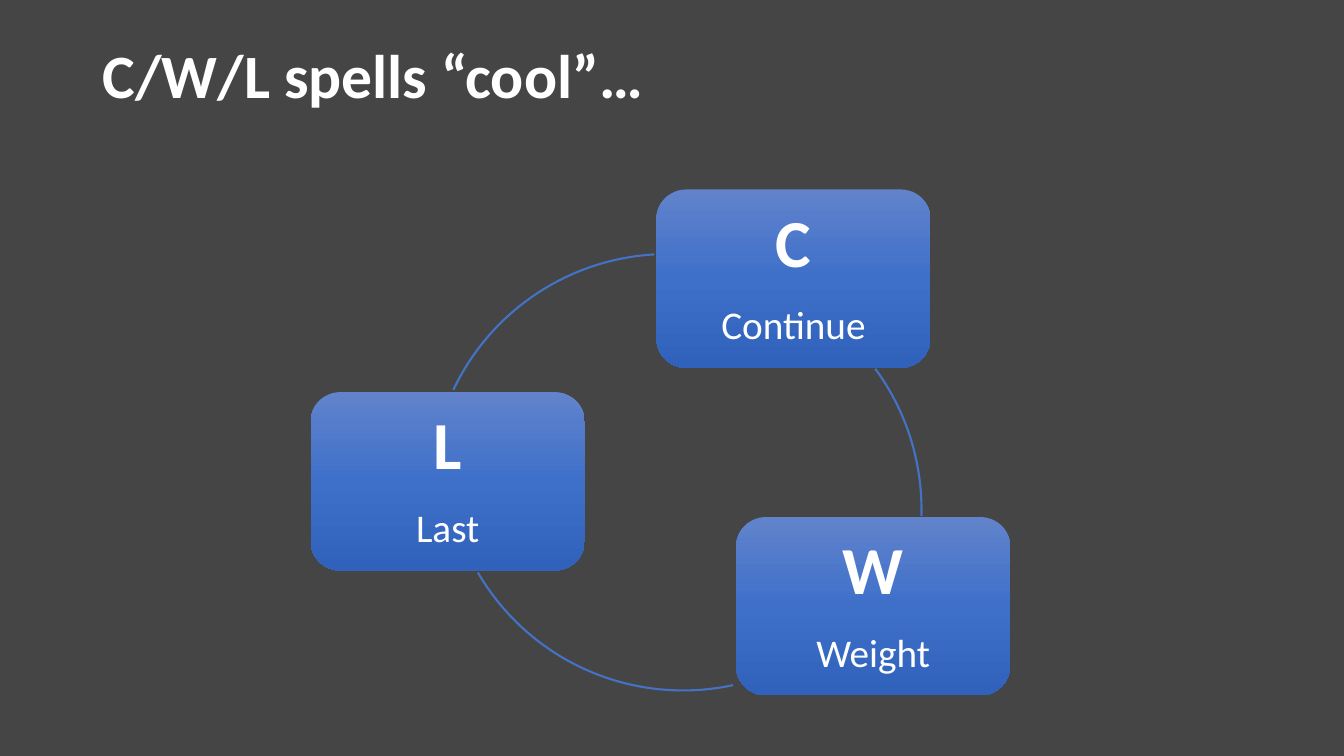
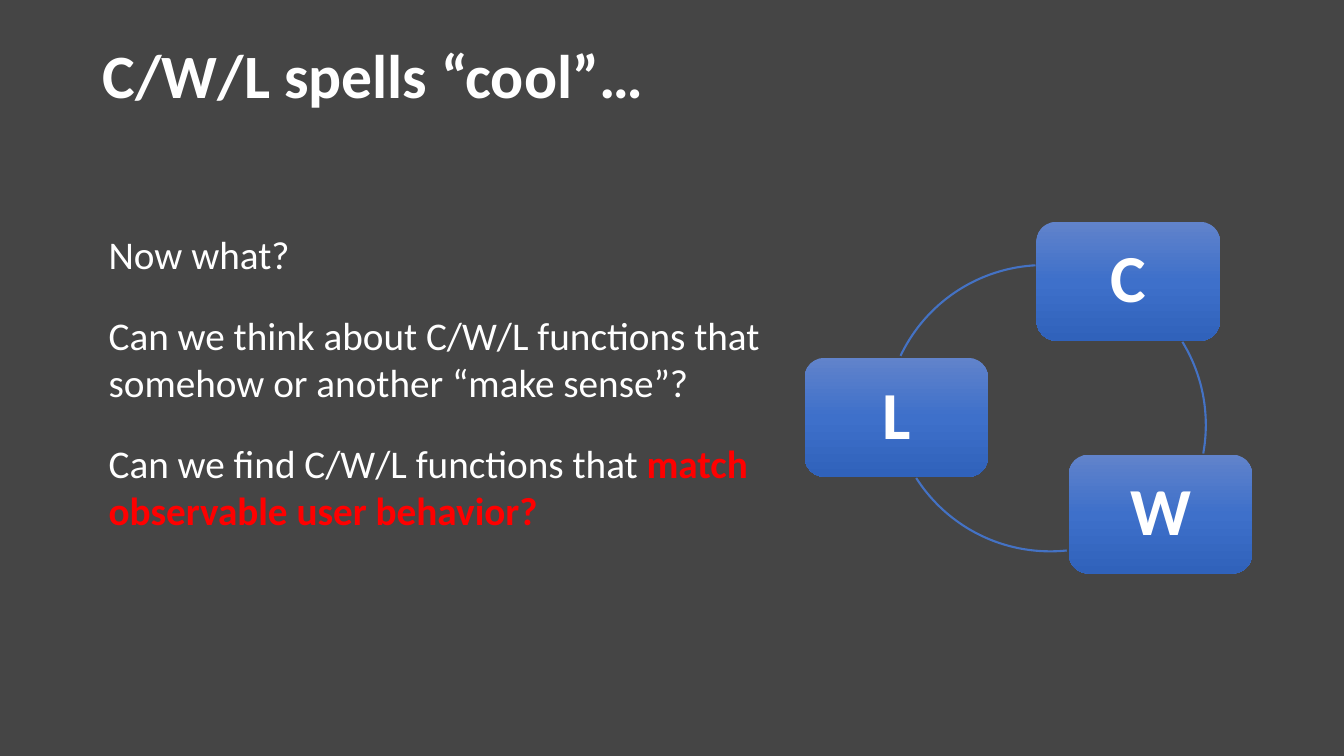
import copy
import math

import pptx
import pptx.dml.color
import pptx.enum.shapes
import pptx.enum.text
import pptx.oxml.ns
import pptx.util

Inches, Pt = pptx.util.Inches, pptx.util.Pt
SHAPE = pptx.enum.shapes.MSO_SHAPE
ALIGN = pptx.enum.text.PP_ALIGN
ANCHOR = pptx.enum.text.MSO_ANCHOR
FIT = pptx.enum.text.MSO_AUTO_SIZE

FONT = "Calibri"
BACKGROUND, WHITE, RED, ARC_BLUE = "454545", "FFFFFF", "FF0000", "4472C4"
CARD_GRADIENT = [(0, "6183CB"), (0.5, "3E70CA"), (1, "3062BB")]

TITLE = "C/W/L spells “cool”…"

# Cards: letter, caption, left, top.
# Arcs: left and top of the full circle, then start and end points, clockwise.
LARGE_CYCLE = {
    "card": (2.72, 1.77),
    "circle": 4.71,
    "cards": [("C", "Continue", 6.51, 1.88),
              ("W", "Weight", 7.3, 5.13),
              ("L", "Last", 3.08, 3.89)],
    "arcs": [(4.43, 2.7, (8.68, 3.66), (9.14, 5.12)),
             (4.42, 2.14, (7.27, 6.8), (4.74, 5.68)),
             (4.27, 2.52, (4.5, 3.87), (6.49, 2.53))],
}
SMALL_CYCLE = {
    "card": (1.82, 1.18),
    "circle": 3.15,
    "cards": [("C", "", 10.28, 2.2),
              ("W", "", 10.6, 4.51),
              ("L", "", 7.98, 3.55)],
    "arcs": [(8.81, 2.64, (11.73, 3.39), (11.94, 4.5)),
             (8.84, 2.32, (10.58, 5.46), (9.09, 4.74)),
             (8.78, 2.63, (8.93, 3.53), (10.27, 2.63))],
}
# Each paragraph is a list of (text, emphasised) runs.
QUESTIONS = [
    [("Now what?", False)],
    [("Can we think about C/W/L functions that somehow or another “make sense”?", False)],
    [("Can we find C/W/L functions that ", False), ("match observable user behavior?", True)],
]


def rgb(value):
    return pptx.dml.color.RGBColor.from_string(value)


def style(font, size, bold=False, color=WHITE):
    font.name, font.size, font.bold = FONT, Pt(size), bold
    font.color.rgb = rgb(color)


def fill_gradient(sp, stops):
    """Fill a shape from top to bottom with three (position, colour) stops."""
    sp.fill.gradient()
    sp.fill.gradient_angle = 270
    first = sp._element.spPr.find(".//" + pptx.oxml.ns.qn("a:gs"))
    first.addnext(copy.deepcopy(first))
    for stop, (position, color) in zip(sp.fill.gradient_stops, stops):
        stop.position = position
        stop.color.rgb = rgb(color)


def add_card(shapes, letter, caption, left, top, size):
    sp = shapes.add_shape(SHAPE.ROUNDED_RECTANGLE, *map(Inches, (left, top, *size)))
    sp.shadow.inherit = False
    fill_gradient(sp, CARD_GRADIENT)
    sp.line.fill.background()
    tf = sp.text_frame
    tf.word_wrap = True
    tf.vertical_anchor = ANCHOR.MIDDLE
    tf.margin_left = tf.margin_right = tf.margin_top = tf.margin_bottom = Inches(0.2)
    tf.text = f"{letter}\n{caption}" if caption else letter
    for p, (size_pt, bold, before) in zip(tf.paragraphs, [(48, True, 0), (28, False, 17)]):
        p.alignment = ALIGN.CENTER
        p.line_spacing = 0.9
        p.space_before = Pt(before)
        style(p.runs[0].font, size_pt, bold)


def add_arc(shapes, left, top, start, end, diameter):
    sp = shapes.add_shape(SHAPE.ARC, *map(Inches, (left, top, diameter, diameter)))
    sp.shadow.inherit = False
    sp.fill.background()
    sp.line.color.rgb = rgb(ARC_BLUE)
    sp.line.width = Pt(1.5)
    radius = diameter / 2
    for i, (x, y) in enumerate((start, end)):
        degrees = math.degrees(math.atan2(y - top - radius, x - left - radius)) % 360
        sp.adjustments[i] = degrees * 0.6  # 60000 units a degree, scaled by 100000


def add_cycle(s, cycle):
    shapes = s.shapes.add_group_shape().shapes
    for card, arc in zip(cycle["cards"], cycle["arcs"]):
        add_card(shapes, *card, cycle["card"])
        add_arc(shapes, *arc, cycle["circle"])


def add_questions(s):
    tf = s.shapes.add_textbox(*map(Inches, (0.98, 2.24, 6.73, 3.13))).text_frame
    tf.word_wrap = True
    tf.auto_size = FIT.SHAPE_TO_FIT_TEXT
    for i, runs in enumerate(QUESTIONS):
        p = tf.add_paragraph() if i else tf.paragraphs[0]
        p.space_before = Pt(24 if i else 0)
        for text, emphasised in runs:
            r = p.add_run()
            r.text = text
            style(r.font, 28, emphasised, RED if emphasised else WHITE)


def add_titled_slide(prs):
    s = prs.slides.add_slide(prs.slide_layouts[5])
    title = s.shapes.title
    title.left, title.top, title.width, title.height = map(Inches, (0.92, 0.4, 11.5, 1.01))
    tf = title.text_frame
    tf.text = TITLE
    tf.word_wrap = True
    tf.auto_size = FIT.NONE
    tf.vertical_anchor = ANCHOR.TOP
    p = tf.paragraphs[0]
    p.alignment = ALIGN.LEFT
    p.line_spacing = 0.9
    style(p.runs[0].font, 44, True)
    return s


def main():
    prs = pptx.Presentation()
    prs.slide_width, prs.slide_height = Inches(13.33), Inches(7.5)
    background = prs.slide_master.background.fill
    background.solid()
    background.fore_color.rgb = rgb(BACKGROUND)

    add_cycle(add_titled_slide(prs), LARGE_CYCLE)
    s = add_titled_slide(prs)
    add_cycle(s, SMALL_CYCLE)
    add_questions(s)
    prs.save("out.pptx")


if __name__ == "__main__":
    main()
